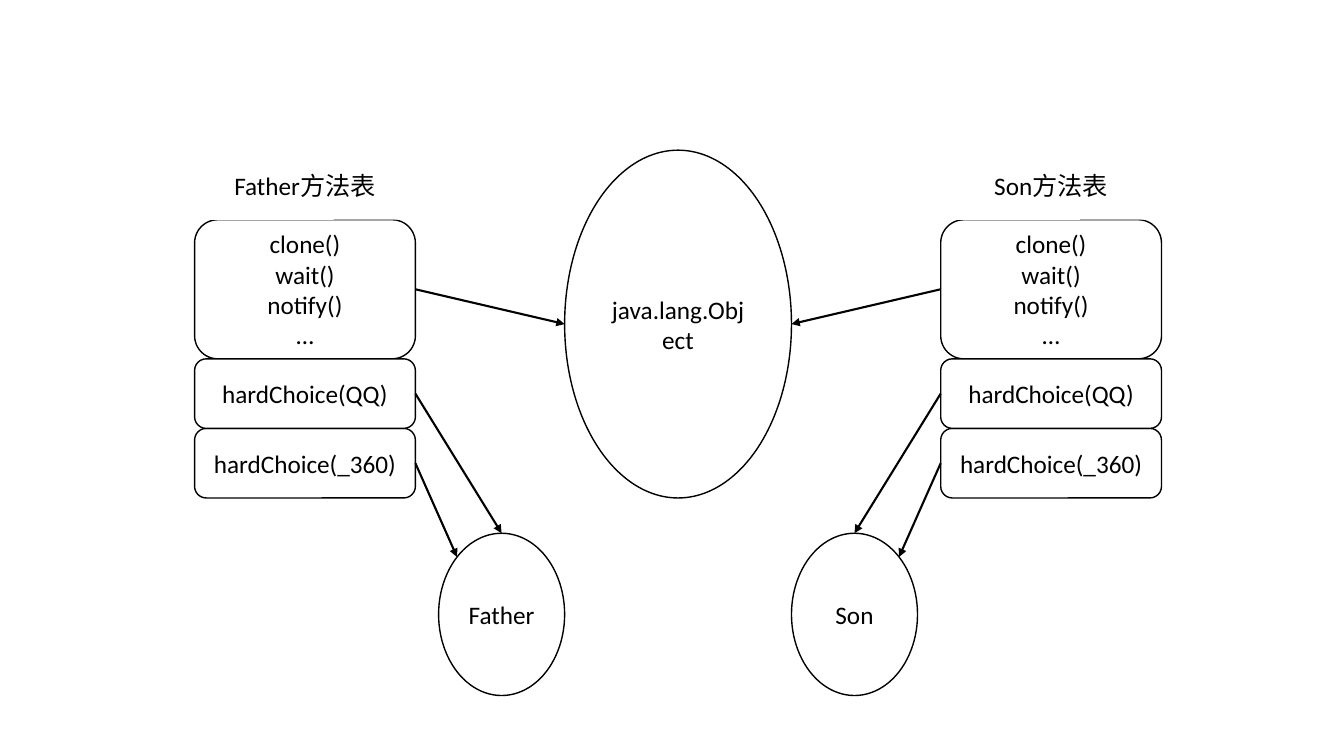
import math

from lxml import etree
from pptx import Presentation
from pptx import util as u
from pptx.dml import color
from pptx.enum import shapes, text
from pptx.oxml import ns


def rgb(value):
    return color.RGBColor.from_string(value)


class Diagram:
    font_name = "Calibri"
    font_size = 18
    ink = "000000"
    paper = "FFFFFF"

    def __init__(self, slide):
        self.slide = slide

    def node(self, container, preset, lines, left, top, width, height, outlined=True):
        shape = container.add_shape(
            preset, u.Inches(left), u.Inches(top), u.Inches(width), u.Inches(height)
        )
        shape.shadow.inherit = False
        shape.fill.solid()
        shape.fill.fore_color.rgb = rgb(self.paper)
        if outlined:
            shape.line.color.rgb = rgb(self.ink)
            shape.line.width = u.Pt(1)
        else:
            shape.line.fill.background()
        frame = shape.text_frame
        frame.word_wrap = True
        frame.vertical_anchor = text.MSO_ANCHOR.MIDDLE
        for index, line in enumerate(lines):
            paragraph = frame.add_paragraph() if index else frame.paragraphs[0]
            paragraph.alignment = text.PP_ALIGN.CENTER
            run = paragraph.add_run()
            run.text = line
            run.font.name = self.font_name
            run.font.size = u.Pt(self.font_size)
            run.font.color.rgb = rgb(self.ink)

    def ellipse(self, label, left, top, width, height):
        self.node(self.slide.shapes, shapes.MSO_SHAPE.OVAL, [label], left, top, width, height)

    def method_table(self, title, left, top, width, row):
        group = self.slide.shapes.add_group_shape()
        entries = [
            (["clone()", "wait()", "notify()", "…"], 1, 2, True),
            (["hardChoice(_360)"], 4, 1, True),
            (["hardChoice(QQ)"], 3, 1, True),
            ([title], 0, 1, False),
        ]
        for lines, first_row, rows, outlined in entries:
            self.node(
                group.shapes, shapes.MSO_SHAPE.ROUNDED_RECTANGLE, lines,
                left, top + first_row * row, width, rows * row, outlined,
            )

    def arrow(self, start, end):
        connector = self.slide.shapes.add_connector(
            shapes.MSO_CONNECTOR.STRAIGHT, *(u.Inches(value) for value in (*start, *end))
        )
        connector.line.color.rgb = rgb(self.ink)
        connector.line.width = u.Pt(1.5)
        line = connector.line._get_or_add_ln()
        etree.SubElement(line, ns.qn("a:tailEnd"), type="triangle")
        etree.SubElement(connector._element.spPr, ns.qn("a:effectLst"))


def main():
    presentation = Presentation()
    presentation.slide_width = u.Inches(13.33)
    presentation.slide_height = u.Inches(7.5)
    slide = presentation.slides.add_slide(presentation.slide_layouts[6])
    diagram = Diagram(slide)

    top, row, table_width = 1.49, 0.69, 2.19
    object_left, object_width = 5.6, 2.25
    class_top, class_width, class_height = 5.29, 1.25, 1.61
    father_left, son_left = 1.93, 9.33
    object_right = object_left + object_width

    diagram.method_table("Father方法表", father_left, top, table_width, row)
    diagram.method_table("Son方法表", son_left, top, table_width, row)
    diagram.ellipse("java.lang.Object", object_left, top, object_width, 5 * row)
    diagram.ellipse("Father", object_left - class_width, class_top, class_width, class_height)
    diagram.ellipse("Son", object_right, class_top, class_width, class_height)

    diagonal = math.sqrt(0.5)
    sides = [
        (father_left + table_width, object_left, object_left - class_width / 2, -1),
        (son_left, object_right, object_right + class_width / 2, 1),
    ]
    for table_edge, object_edge, class_center, direction in sides:
        corner_x = class_center + direction * diagonal * class_width / 2
        corner_y = class_top + (1 - diagonal) * class_height / 2
        diagram.arrow((table_edge, top + 2 * row), (object_edge, top + 2.5 * row))
        diagram.arrow((table_edge, top + 3.5 * row), (class_center, class_top))
        diagram.arrow((table_edge, top + 4.5 * row), (corner_x, corner_y))

    presentation.save("out.pptx")


if __name__ == "__main__":
    main()
